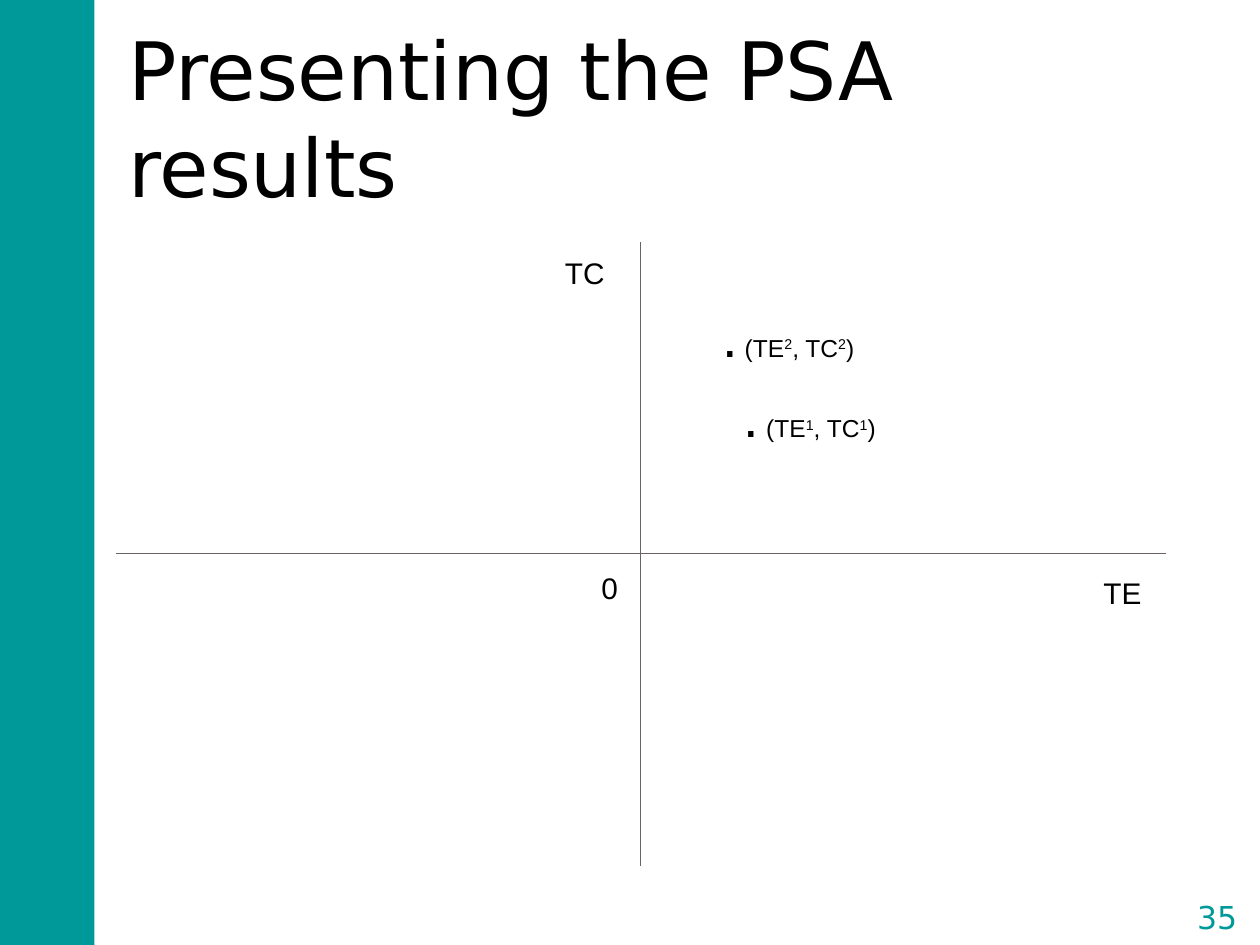
from lxml.etree import SubElement
from pptx import Presentation
from pptx.dml.color import RGBColor
from pptx.enum.shapes import MSO_CONNECTOR, MSO_SHAPE
from pptx.enum.text import MSO_ANCHOR, PP_ALIGN
from pptx.oxml.ns import qn
from pptx.util import Inches, Pt

TEAL = RGBColor(0x00, 0x99, 0x99)
BLACK = RGBColor(0x00, 0x00, 0x00)
WHITE = RGBColor(0xFF, 0xFF, 0xFF)
AXIS_GREY = RGBColor(0x69, 0x63, 0x67)
TITLE_FONT = "DejaVu Sans"
LABEL_FONT = "Arial"


def set_insets(frame, inset):
    frame.margin_left = frame.margin_right = Inches(inset)
    frame.margin_top = frame.margin_bottom = Inches(inset)


def add_run(paragraph, text, size, font=LABEL_FONT, color=BLACK, superscript=False):
    run = paragraph.add_run()
    run.text = text
    run.font.size = Pt(size)
    run.font.name = font
    run.font.color.rgb = color
    if superscript:
        run._r.get_or_add_rPr().set("baseline", "30000")


def add_text_box(slide, left, top, width, height, anchor=MSO_ANCHOR.TOP):
    """Add an empty wrapped text box and return its first paragraph."""
    box = slide.shapes.add_textbox(
        Inches(left), Inches(top), Inches(width), Inches(height))
    frame = box.text_frame
    frame.word_wrap = True
    frame.vertical_anchor = anchor
    set_insets(frame, 0.1)
    return frame.paragraphs[0]


def add_sidebar(slide, left, top, width, height):
    bar = slide.shapes.add_shape(
        MSO_SHAPE.RECTANGLE,
        Inches(left), Inches(top), Inches(width), Inches(height))
    bar.shadow.inherit = False
    bar.fill.solid()
    bar.fill.fore_color.rgb = TEAL
    bar.line.fill.background()


def add_title(slide, left, top, width, height):
    paragraph = add_text_box(slide, left, top, width, height, MSO_ANCHOR.MIDDLE)
    add_run(paragraph, "Presenting the PSA results", 46, TITLE_FONT)


def add_page_number(slide, left, top, width, height):
    bracket = slide.shapes.add_shape(
        MSO_SHAPE.DOUBLE_BRACKET,
        Inches(left), Inches(top), Inches(width), Inches(height))
    bracket.shadow.inherit = False
    bracket.fill.background()
    bracket.line.color.rgb = WHITE
    bracket.line.width = Pt(1.5)
    frame = bracket.text_frame
    frame.vertical_anchor = MSO_ANCHOR.MIDDLE
    set_insets(frame, 0)
    paragraph = frame.paragraphs[0]
    paragraph.alignment = PP_ALIGN.CENTER
    add_run(paragraph, "35", 18, TITLE_FONT, TEAL)


def add_axis(slide, start_x, start_y, end_x, end_y):
    axis = slide.shapes.add_connector(
        MSO_CONNECTOR.STRAIGHT,
        Inches(start_x), Inches(start_y), Inches(end_x), Inches(end_y))
    axis.line.color.rgb = AXIS_GREY
    axis.line.width = Pt(0.75)
    SubElement(axis._element.spPr, qn("a:effectLst"))


def add_point(slide, left, top, index):
    """Add a dot followed by its (TE, TC) coordinates."""
    paragraph = add_text_box(slide, left, top, 1.3, 0.74)
    add_run(paragraph, ".", 32)
    for text, raised in ((" (TE", False), (index, True), (", TC", False),
                         (index, True), (")", False)):
        add_run(paragraph, text, 14, superscript=raised)


def add_cost_effect_plane(slide, left, top, width, height):
    """Draw the four quadrants, with axis labels and two simulated points."""
    center_x = left + width / 2
    center_y = top + height / 2
    add_axis(slide, center_x, top, center_x, top + height)
    add_axis(slide, left, center_y, left + width, center_y)

    labels = (
        ("TE", left + width - 0.59, center_y + 0.07, 0.6),
        ("TC", center_x - 0.7, top, 0.6),
        ("0", center_x - 0.41, center_y + 0.03, 0.39),
    )
    for text, label_left, label_top, label_width in labels:
        paragraph = add_text_box(slide, label_left, label_top, label_width, 0.43)
        add_run(paragraph, text, 17)

    add_point(slide, center_x + 0.72, top + 1.01, "1")
    add_point(slide, center_x + 0.55, top + 0.37, "2")


def main():
    presentation = Presentation()
    presentation.slide_width = Inches(10)
    presentation.slide_height = Inches(7.5)
    slide = presentation.slides.add_slide(presentation.slide_layouts[6])
    add_sidebar(slide, 0, 0, 0.75, 7.5)
    add_title(slide, 0.92, 0.3, 8.33, 1.25)
    add_page_number(slide, 9.36, 7.06, 0.6, 0.43)
    add_cost_effect_plane(slide, 0.92, 1.92, 8.33, 4.95)
    presentation.save("out.pptx")


if __name__ == "__main__":
    main()
